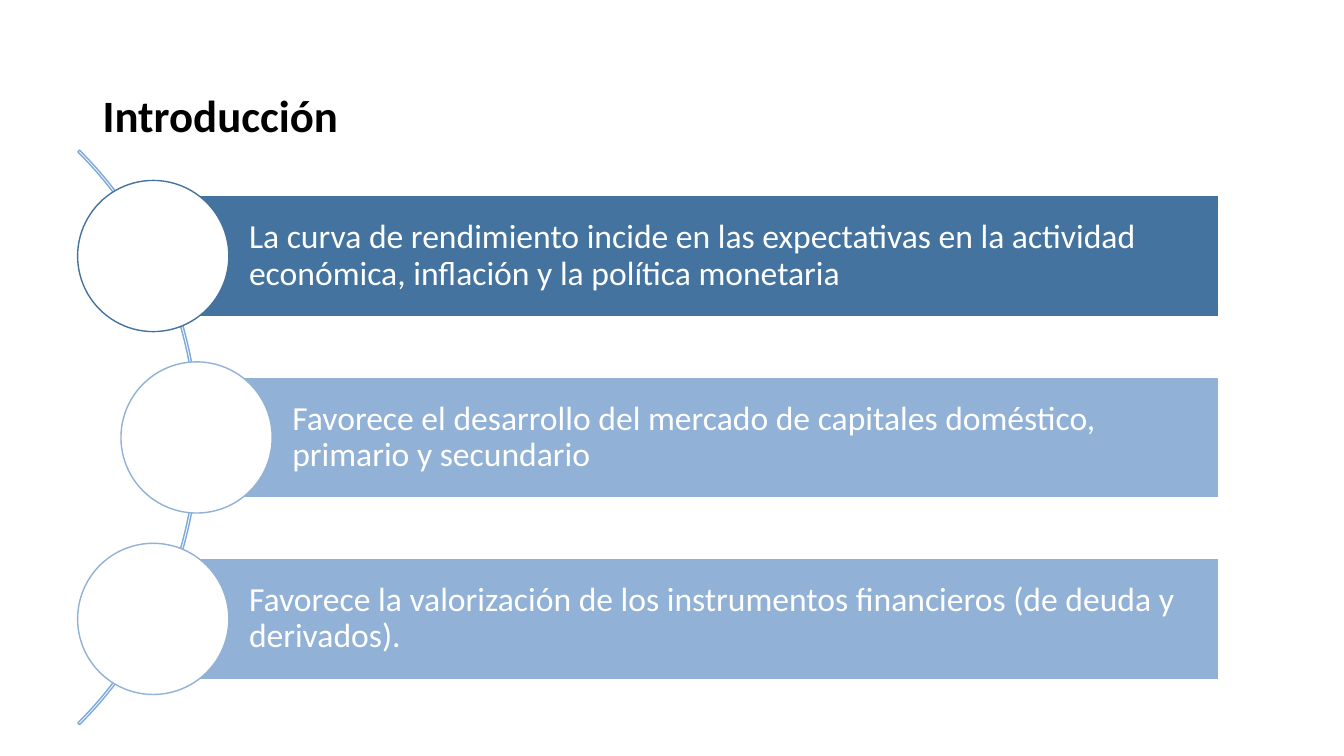
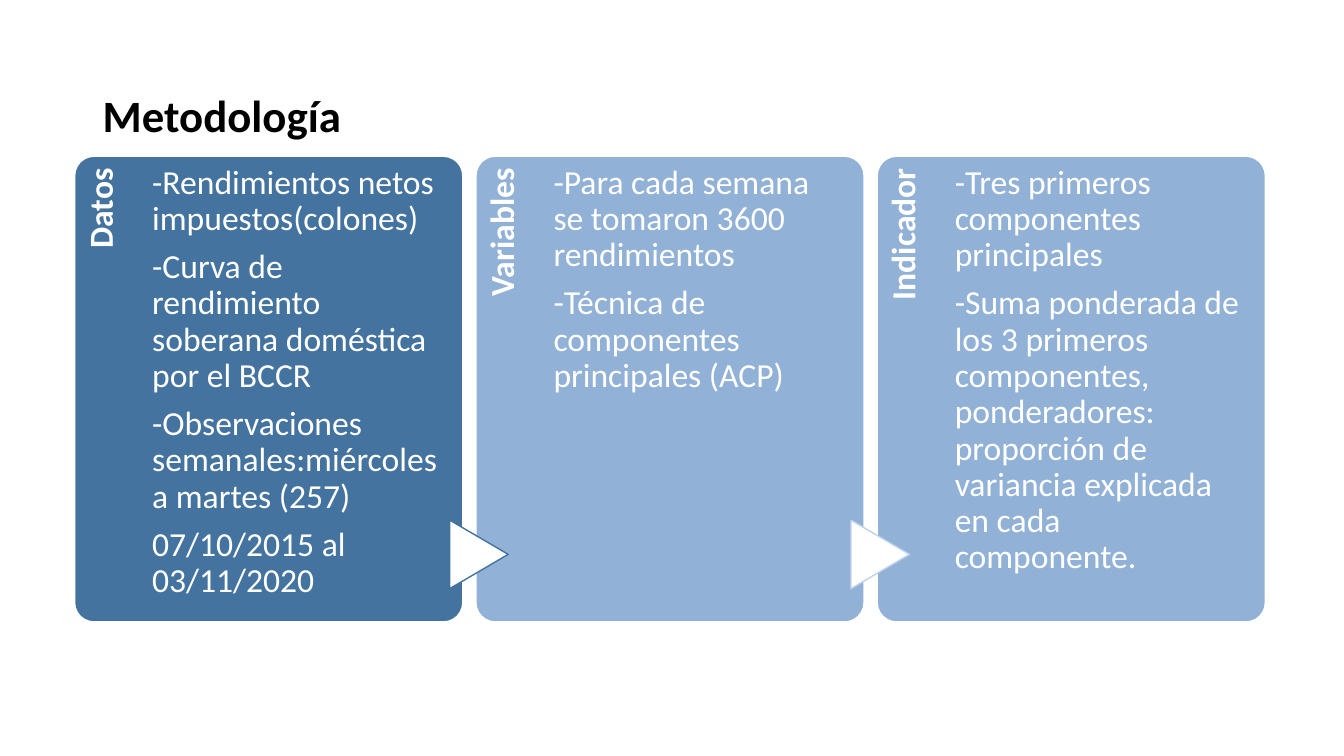
from pptx import Presentation
from pptx.dml.color import RGBColor
from pptx.enum.shapes import MSO_SHAPE
from pptx.enum.text import MSO_ANCHOR, PP_ALIGN
from pptx.util import Pt

SCALE = 9144  # EMU in one px, 100 px to the inch
WHITE = RGBColor(0xFF, 0xFF, 0xFF)
BLACK = RGBColor(0, 0, 0)
DARK = RGBColor(0x43, 0x73, 0x9E)
LIGHT = RGBColor(0x91, 0xB1, 0xD6)
PALE = RGBColor(0xC0, 0xD2, 0xEA)
ARC = RGBColor(0x7A, 0xA9, 0xDA)
FONT = "Calibri"

POINTS = [
    "La curva de rendimiento incide en las expectativas en la actividad "
    "económica, inflación y la política monetaria",
    "Favorece el desarrollo del mercado de capitales doméstico, "
    "primario y secundario",
    "Favorece la valorización de los instrumentos financieros "
    "(de deuda y derivados).",
]
PANELS = [
    ("Datos", DARK, [
        "-Rendimientos netos impuestos(colones)",
        "-Curva de rendimiento soberana doméstica por el BCCR",
        "-Observaciones semanales:miércoles a martes (257)",
        "07/10/2015 al 03/11/2020",
    ]),
    ("Variables", LIGHT, [
        "-Para cada semana se tomaron 3600 rendimientos",
        "-Técnica de componentes principales (ACP)",
    ]),
    ("Indicador", LIGHT, [
        "-Tres primeros componentes principales",
        "-Suma ponderada de los 3 primeros componentes, ponderadores: "
        "proporción de variancia explicada en cada componente.",
    ]),
]


def px(*vals):
    return [round(val * SCALE) for val in vals]


def shape(slide, kind, box, fill, line):
    item = slide.shapes.add_shape(kind, *px(*box))
    item.shadow.inherit = False
    if fill is None:
        item.fill.background()
    else:
        item.fill.solid()
        item.fill.fore_color.rgb = fill
    item.line.color.rgb = line
    item.line.width = Pt(1)
    return item


def write(item, paras, size=24, color=WHITE, bold=False, align=PP_ALIGN.LEFT,
          anchor=MSO_ANCHOR.TOP, inset=(10, 5, 10, 5), after=0):
    """Fill a shape or text box; inset is left, top, right, bottom."""
    frame = item.text_frame
    frame.word_wrap = True
    frame.vertical_anchor = anchor
    (frame.margin_left, frame.margin_top,
     frame.margin_right, frame.margin_bottom) = px(*inset)
    for num, text in enumerate(paras):
        para = frame.add_paragraph() if num else frame.paragraphs[0]
        para.alignment = align
        para.line_spacing = 0.9
        para.space_after = Pt(after)
        run = para.add_run()
        run.text = text
        font = run.font
        font.name, font.size, font.bold = FONT, Pt(size), bold
        font.color.rgb = color


def label(slide, box, paras, **style):
    item = slide.shapes.add_textbox(*px(*box))
    write(item, paras, **style)
    return item


def start(deck, title):
    """Add a blank slide with its title."""
    slide = deck.slides.add_slide(deck.slide_layouts[6])
    label(slide, (92, 45, 1150, 145), [title], size=32, color=BLACK,
          bold=True, anchor=MSO_ANCHOR.MIDDLE)
    return slide


def bar(slide, box, text, color):
    """Bar with a disc centred on its left end."""
    left, top, wide, high = box
    disc = 150
    strip = shape(slide, MSO_SHAPE.RECTANGLE, box, color, WHITE)
    write(strip, [text], anchor=MSO_ANCHOR.MIDDLE, inset=(95, 7, 7, 7))
    shape(slide, MSO_SHAPE.OVAL,
          (left - disc / 2, top + (high - disc) / 2, disc, disc),
          WHITE, color)


def arc_list(slide, box, points):
    """Bars spread down the box, along an arc that bulges to the right."""
    left, top, wide, high = box
    size, tall, step, bulge = 806, 120, 180, 43
    mid = top + high / 2
    arc = shape(slide, MSO_SHAPE.BLOCK_ARC,
                (left - 686, mid - size / 2, size, size), None, ARC)
    for num, val in enumerate((189, 27, 0.003)):
        arc.adjustments[num] = val
    first = mid - step * (len(points) - 1) / 2 - tall / 2
    for num, text in enumerate(points):
        inner = 0 < num < len(points) - 1
        shift = 75 + (bulge if inner else 0)
        bar(slide, (left + shift, first + step * num, wide - shift, tall),
            text, LIGHT if num else DARK)


def panel(slide, box, name, paras, color, edge=None):
    """Card with an upright name; edge outlines the arrow leading to it."""
    left, top, wide, high = box
    band, long = 77, 379
    card = shape(slide, MSO_SHAPE.ROUNDED_RECTANGLE, box, color, WHITE)
    card.adjustments[0] = 0.05
    tag = label(slide, (left + (band - long) / 2, top + (long - band) / 2,
                        long, band), [name], bold=True,
                align=PP_ALIGN.RIGHT, inset=(0, 9, 12, 0))
    tag.rotation = 270
    if edge is not None:
        base, tip = 68, 58
        arrow = shape(slide, MSO_SHAPE.FLOWCHART_EXTRACT,
                      (left + 3 - base / 2, top + 395 - tip / 2, base, tip),
                      WHITE, edge)
        arrow.rotation = 90
    label(slide, (left + band, top, wide - band - 21, high), paras,
          inset=(0, 9, 0, 0), after=8.4)


def panel_row(slide, box, panels):
    left, top, wide, high = box
    gap = 13
    each = (wide - gap * (len(panels) - 1)) / len(panels)
    edges = (None, DARK, PALE)
    for num, ((name, color, paras), edge) in enumerate(zip(panels, edges)):
        panel(slide, (left + num * (each + gap), top, each, high),
              name, paras, color, edge)


def main():
    deck = Presentation()
    deck.slide_width, deck.slide_height = px(1333, 750)
    arc_list(start(deck, "Introducción"), (77, 155, 1132, 558), POINTS)
    panel_row(start(deck, "Metodología"), (74, 155, 1181, 462), PANELS)
    deck.save("out.pptx")


if __name__ == "__main__":
    main()
